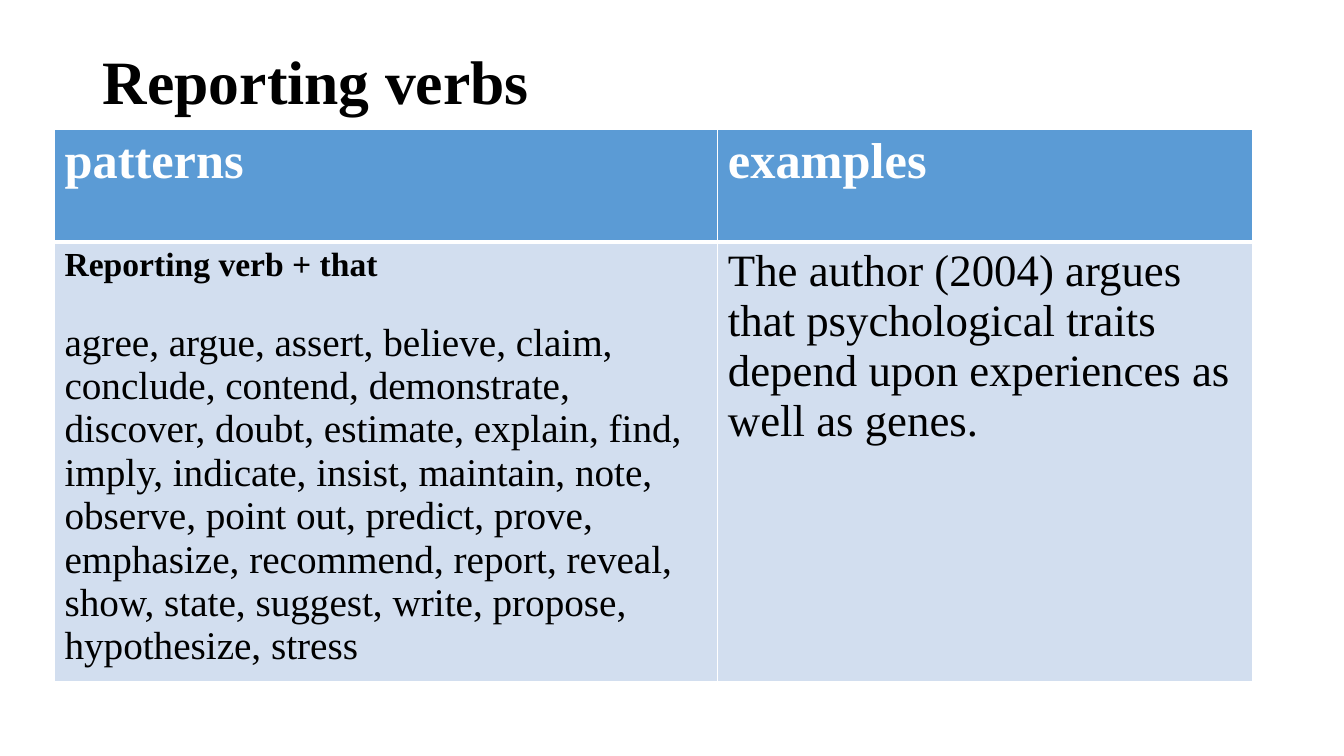
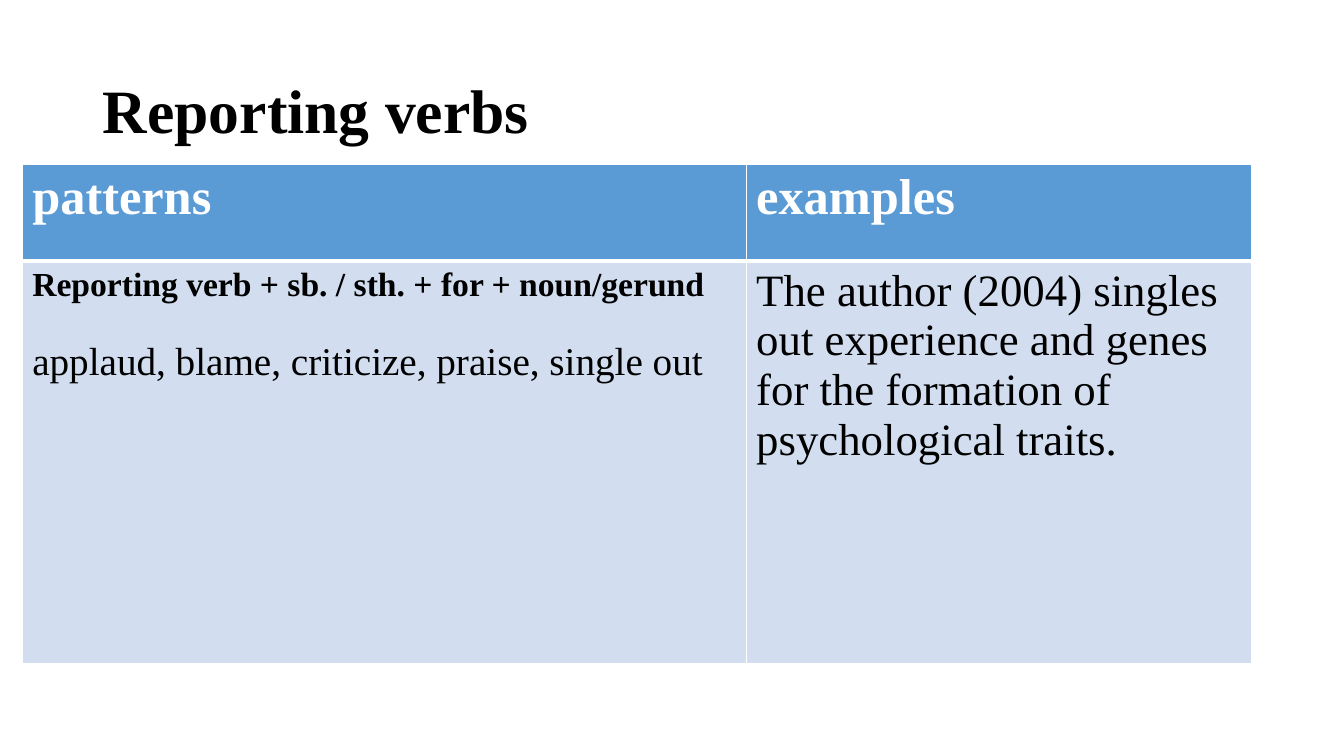
import pptx
import pptx.dml.color
import pptx.enum.text
import pptx.oxml
import pptx.oxml.ns
import pptx.util

Inches = pptx.util.Inches
Pt = pptx.util.Pt
RGBColor = pptx.dml.color.RGBColor

BLACK = RGBColor(0x00, 0x00, 0x00)
WHITE = RGBColor(0xFF, 0xFF, 0xFF)
HEADER_BLUE = RGBColor(0x5B, 0x9B, 0xD5)
BODY_BLUE = RGBColor(0xD2, 0xDE, 0xEF)
FONT = "Times New Roman"

TITLE = "Reporting verbs"
HEADINGS = ("patterns", "examples")
TITLE_LEFT, TITLE_TOP, TITLE_WIDTH = 0.92, 0.4, 11.5
THIN, THICK = 1, 3
VERB_GAP = 26.5

SLIDES = [
    {
        "pattern": "Reporting verb + that",
        "verbs": "agree, argue, assert, believe, claim, conclude, contend, "
                 "demonstrate, discover, doubt, estimate, explain, find, imply, "
                 "indicate, insist, maintain, note, observe, point out, predict, "
                 "prove, emphasize, recommend, report, reveal, show, state, "
                 "suggest, write, propose, hypothesize, stress",
        "example": "The author (2004) argues that psychological traits depend "
                   "upon experiences as well as genes.",
        "title_height": 0.88,
        "table_at": (0.54, 1.28),
        "columns": (6.58, 5.3),
        "rows": (1.12, 4.36),
    },
    {
        "pattern": "Reporting verb + sb. / sth. + for + noun/gerund",
        "verbs": "applaud, blame, criticize, praise, single out",
        "example": "The author (2004) singles out experience and genes for the "
                   "formation of psychological traits.",
        "title_height": 1.45,
        "table_at": (0.22, 1.63),
        "columns": (7.18, 5.01),
        "rows": (0.96, 3.99),
    },
]


def style(paragraph, size, color, bold):
    for run in paragraph.runs:
        run.font.name = FONT
        run.font.size = Pt(size)
        run.font.bold = bold
        run.font.color.rgb = color


def add_title(slide, height):
    title = slide.shapes.title
    title.left, title.top = Inches(TITLE_LEFT), Inches(TITLE_TOP)
    title.width, title.height = Inches(TITLE_WIDTH), Inches(height)
    frame = title.text_frame
    frame.text = TITLE
    frame.word_wrap = True
    frame.auto_size = pptx.enum.text.MSO_AUTO_SIZE.NONE
    frame.vertical_anchor = pptx.enum.text.MSO_ANCHOR.MIDDLE
    heading = frame.paragraphs[0]
    heading.alignment = pptx.enum.text.PP_ALIGN.LEFT
    heading.line_spacing = 0.9
    style(heading, 44, BLACK, True)


def set_borders(cell, top, bottom):
    properties = cell._tc.get_or_add_tcPr()
    widths = {"lnL": THIN, "lnR": THIN, "lnT": top, "lnB": bottom}
    for position, (side, width) in enumerate(widths.items()):
        border = pptx.oxml.parse_xml(
            f'<a:{side} {pptx.oxml.ns.nsdecls("a")} w="{Pt(width)}">'
            f'<a:solidFill><a:srgbClr val="{WHITE}"/></a:solidFill></a:{side}>')
        properties.insert(position, border)


def fill_cell(cell, paragraphs, background, color, borders):
    cell.fill.solid()
    cell.fill.fore_color.rgb = background
    set_borders(cell, *borders)
    cell.text_frame.text = "\n".join(text for text, size, bold in paragraphs)
    for index, (text, size, bold) in enumerate(paragraphs):
        paragraph = cell.text_frame.paragraphs[index]
        style(paragraph, size, color, bold)
        if index:
            paragraph.space_before = Pt(VERB_GAP)


def add_patterns_table(slide, content):
    columns, rows = content["columns"], content["rows"]
    left, top = content["table_at"]
    table = slide.shapes.add_table(
        len(rows), len(columns), Inches(left), Inches(top),
        Inches(sum(columns)), Inches(sum(rows))).table
    table.horz_banding = False
    for column, width in zip(table.columns, columns):
        column.width = Inches(width)
    for row, height in zip(table.rows, rows):
        row.height = Inches(height)

    bodies = (
        [(content["pattern"], 24, True), (content["verbs"], 28, False)],
        [(content["example"], 32, False)],
    )
    for index, (heading, body) in enumerate(zip(HEADINGS, bodies)):
        fill_cell(table.cell(0, index), [(heading, 36, True)],
                  HEADER_BLUE, WHITE, (THIN, THICK))
        fill_cell(table.cell(1, index), body,
                  BODY_BLUE, BLACK, (THICK, THIN))


def main():
    deck = pptx.Presentation()
    deck.slide_width, deck.slide_height = Inches(13.33), Inches(7.5)
    title_only = deck.slide_layouts[5]
    for content in SLIDES:
        slide = deck.slides.add_slide(title_only)
        add_title(slide, content["title_height"])
        add_patterns_table(slide, content)
    deck.save("out.pptx")


if __name__ == "__main__":
    main()
